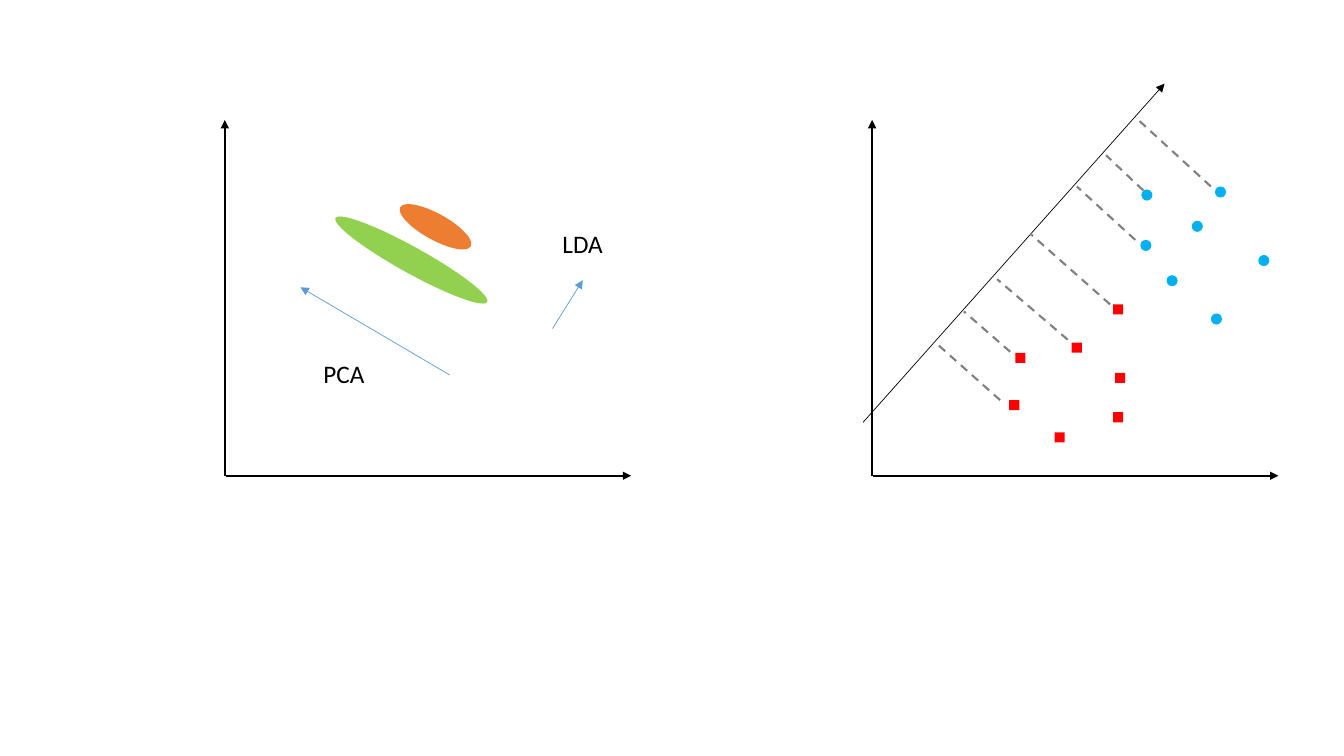
from dataclasses import dataclass

from lxml.etree import SubElement
from pptx import Presentation
from pptx.dml.color import RGBColor
from pptx.enum.dml import MSO_LINE
from pptx.enum.shapes import MSO_CONNECTOR, MSO_SHAPE
from pptx.enum.text import MSO_AUTO_SIZE
from pptx.oxml.ns import qn
from pptx.util import Inches, Pt

BLACK = RGBColor(0x00, 0x00, 0x00)
GRAY = RGBColor(0x80, 0x80, 0x80)
BLUE = RGBColor(0x5B, 0x9B, 0xD5)
SKY = RGBColor(0x00, 0xB0, 0xF0)
RED = RGBColor(0xFF, 0x00, 0x00)
ORANGE = RGBColor(0xED, 0x7D, 0x31)
GREEN = RGBColor(0x92, 0xD0, 0x50)

CELL = Inches(0.01)  # side of one grid cell
PANEL_TOP = 119
PANEL_WIDTH, PANEL_HEIGHT = 403, 353
SQUARE_SIZE, CIRCLE_SIZE = 10, 11
CLUSTER_TILT = 29

SQUARES = [(136, 278), (142, 231), (198, 221), (181, 310),
           (241, 251), (239, 290), (239, 183)]
CIRCLES = [(267, 69), (340, 66), (266, 119), (317, 100),
           (383, 134), (292, 154), (336, 192)]
PROJECTIONS = [
    ((127, 278), (63, 221)),
    ((137, 230), (91, 190)),
    ((194, 218), (124, 158)),
    ((236, 183), (157, 113)),
    ((261, 119), (203, 66)),
    ((269, 70), (232, 35)),
    ((336, 66), (264, 0)),
]


@dataclass
class Panel:
    """A plot area; all positions are columns and rows from its top left corner."""
    slide: object
    left: int
    top: int
    width: int
    height: int

    def place(self, column, row):
        return (self.left + column) * CELL, (self.top + row) * CELL

    def add_line(self, start, end, color, weight, arrow=True):
        """Draw a solid arrow, or a dashed line when arrow is False."""
        connector = self.slide.shapes.add_connector(
            MSO_CONNECTOR.STRAIGHT, *self.place(*start), *self.place(*end))
        connector.line.color.rgb = color
        connector.line.width = Pt(weight)
        properties = connector._element.spPr
        if arrow:
            SubElement(properties.find(qn("a:ln")), qn("a:tailEnd"), type="triangle")
        else:
            connector.line.dash_style = MSO_LINE.DASH
        SubElement(properties, qn("a:effectLst"))

    def add_mark(self, kind, position, size, color, rotation=0):
        width, height = size
        shape = self.slide.shapes.add_shape(
            kind, *self.place(*position), width * CELL, height * CELL)
        shape.rotation = rotation
        shape.shadow.inherit = False
        shape.fill.solid()
        shape.fill.fore_color.rgb = color
        shape.line.fill.background()

    def add_label(self, text, position):
        box = self.slide.shapes.add_textbox(
            *self.place(*position), 61 * CELL, 40 * CELL)
        frame = box.text_frame
        frame.word_wrap = False
        frame.auto_size = MSO_AUTO_SIZE.SHAPE_TO_FIT_TEXT
        run = frame.paragraphs[0].add_run()
        run.text = text
        run.font.name = "Calibri"
        run.font.size = Pt(18)
        run.font.color.rgb = BLACK

    def add_axes(self):
        self.add_line((0, self.height), (0, 0), BLACK, 1.5)
        self.add_line((1, self.height), (self.width, self.height), BLACK, 1.5)


def draw_directions(panel):
    """Two elongated clusters with the PCA and LDA directions."""
    panel.add_axes()
    panel.add_mark(MSO_SHAPE.OVAL, (169, 93), (80, 26), ORANGE, CLUSTER_TILT)
    panel.add_mark(MSO_SHAPE.OVAL, (99, 126), (172, 26), GREEN, CLUSTER_TILT)
    panel.add_line((325, 207), (355, 159), BLUE, 0.5)
    panel.add_line((223, 253), (75, 166), BLUE, 0.5)
    panel.add_label("LDA", (325, 103))
    panel.add_label("PCA", (88, 232))


def draw_projection(panel):
    """Two classes of points projected onto a slanted axis."""
    panel.add_axes()
    for kind, points, size, color in (
            (MSO_SHAPE.RECTANGLE, SQUARES, SQUARE_SIZE, RED),
            (MSO_SHAPE.OVAL, CIRCLES, CIRCLE_SIZE, SKY)):
        for point in points:
            panel.add_mark(kind, point, (size, size), color)
    panel.add_line((-9, 300), (290, -36), BLACK, 0.5)
    for start, end in PROJECTIONS:
        panel.add_line(start, end, GRAY, 1.5, arrow=False)


def main():
    presentation = Presentation()
    presentation.slide_width = Inches(13.33)
    presentation.slide_height = Inches(7.5)
    slide = presentation.slides.add_slide(presentation.slide_layouts[6])
    for draw, left in ((draw_directions, 223), (draw_projection, 865)):
        draw(Panel(slide, left, PANEL_TOP, PANEL_WIDTH, PANEL_HEIGHT))
    presentation.save("out.pptx")


if __name__ == "__main__":
    main()
